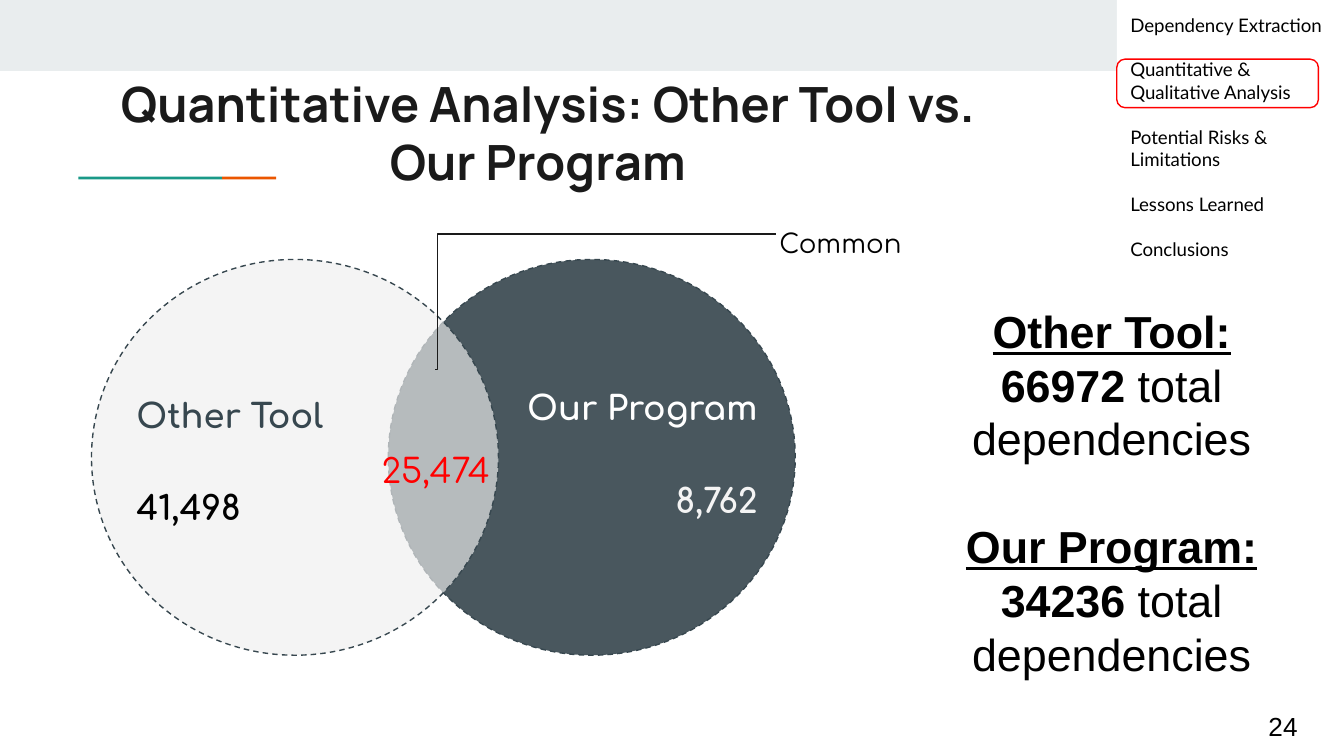
from lxml.etree import SubElement as Sub
from pptx import Presentation
from pptx.dml.color import RGBColor
from pptx.enum.dml import MSO_LINE as Dash
from pptx.enum.shapes import MSO_CONNECTOR as Link, MSO_SHAPE as Form
from pptx.enum.text import MSO_ANCHOR as Anchor, MSO_AUTO_SIZE as Auto, PP_ALIGN as Align
from pptx.oxml.ns import qn
from pptx.util import Pt


def tint(text):
    return RGBColor.from_string(text)


def place(item, box):
    item.left, item.top, item.width, item.height = map(Pt, box)


def shape(slide, form, box, fill=None, line=None, alpha=None, dash=None):
    item = slide.shapes.add_shape(form, *map(Pt, box))
    item.shadow.inherit = False
    if fill:
        item.fill.solid()
        item.fill.fore_color.rgb = tint(fill)
        if alpha:
            color = item.fill._xPr.find(qn("a:solidFill"))[0]
            Sub(color, qn("a:alpha"), val=str(alpha * 1000))
    else:
        item.fill.background()
    if line:
        item.line.color.rgb = tint(line)
        item.line.width = Pt(0.75)
        item.line.dash_style = dash
    else:
        item.line.fill.background()
    return item


def write(item, lines, font="Arial", size=18, color="000000", bold=False,
          align=Align.LEFT, anchor=Anchor.TOP, pitch=1.0, gap=0):
    frame = item.text_frame
    frame.word_wrap, frame.auto_size = True, Auto.NONE
    frame.vertical_anchor = anchor
    frame.margin_left = frame.margin_right = Pt(7.2)
    frame.margin_top = frame.margin_bottom = Pt(7.2)
    for i, line in enumerate(lines):
        para = frame.paragraphs[0] if i == 0 else frame.add_paragraph()
        para.alignment, para.line_spacing = align, pitch
        para.space_before, para.space_after = Pt(gap if i else 0), Pt(0)
        for part in [line] if isinstance(line, str) else line:
            words, look = (part, {}) if isinstance(part, str) else part
            run = para.add_run()
            run.text = words
            run.font.name, run.font.size = font, Pt(size)
            run.font.bold = look.get("bold", bold)
            run.font.underline = look.get("under", False)
            run.font.color.rgb = tint(look.get("color", color))
    return frame


def label(slide, box, lines, **look):
    item = slide.shapes.add_textbox(*map(Pt, box))
    return write(item, lines, **look)


def header(slide, box):
    x, y, w, h = box
    shape(slide, Form.RECTANGLE, (x, y, w, 38), "E9EDEE")
    shape(slide, Form.RECTANGLE, (x + 42, y + 94.6, 77, 1.6), "1A9988")
    shape(slide, Form.RECTANGLE, (x + 119, y + 94.6, 29, 1.6), "EB5600")
    title = slide.shapes.title
    place(title, (x + 57.6, y + 32.4, 642, h - 32.4))
    frame = write(title, ["Quantitative Analysis: Other Tool vs.", "Our Program"],
                  font="Manrope", size=26, color="1A1A1A", bold=True)
    props = frame.paragraphs[1]._p.get_or_add_pPr()
    props.set("marL", str(Pt(108)))
    props.set("indent", str(Pt(36)))


def venn(slide, box):
    x, y, w, h = box
    wide, high = 218, 212
    top = y + h - high
    look = dict(font="Comfortaa", bold=True, pitch=1.15, gap=24.6)
    shape(slide, Form.OVAL, (x + w - wide, top, wide, high), "37474F", "37474F", 91, Dash.DASH)
    label(slide, (x + 218, top + 58, 146, 98),
          ["Our Program", [("8,762", {"color": "F4F4F4"})]],
          color="FFFFFF", align=Align.RIGHT, **look)
    shape(slide, Form.OVAL, (x, top, wide, high), "EFEFEF", "37474F", 66, Dash.DASH)
    label(slide, (x + 17, top + 62, 166, 98),
          ["Other Tool", [("41,498", {"color": "000000"})]],
          color="37474F", **look)
    label(slide, (x + 144, top + 91.4, 81, 42.5), ["25,474"],
          font="Comfortaa", color="FF0000", align=Align.CENTER, pitch=1.15)
    ends = (x + 184.3, y + 83.5, x + 366.5, y + 10.8)
    line = slide.shapes.add_connector(Link.ELBOW, *map(Pt, ends))
    line.line.color.rgb, line.line.width = tint("1A1A1A"), Pt(0.75)
    props = line._element.spPr
    Sub(props, qn("a:effectLst"))
    bend = props.find(qn("a:prstGeom")).find(qn("a:avLst"))
    Sub(bend, qn("a:gd"), name="adj1", fmla="val 600")
    label(slide, (x + 361.4, y, 106, 27.4), ["Common"], font="Comfortaa", size=14)


def totals(slide, box):
    head, strong = {"bold": True, "under": True}, {"bold": True}
    lines = []
    for name, count in (("Other Tool:", "66972"), ("Our Program:", "34236")):
        lines += [[(name, head)], [(count, strong), " total dependencies"]]
    frame = label(slide, box, lines, size=24, align=Align.CENTER, pitch=Pt(28.8))
    frame.paragraphs[2].space_before = Pt(28.8)


def agenda(slide, box):
    x, y, w, h = box
    body = slide.placeholders[1]
    place(body, box)
    body.fill.solid()
    body.fill.fore_color.rgb = tint("FFFFFF")
    frame = write(body, ["Dependency Extraction", "Quantitative & Qualitative Analysis",
                         "Potential Risks & Limitations", "Lessons Learned", "Conclusions"],
                  font="Lato", size=10, gap=12)
    for para in frame.paragraphs:
        props = para._p.get_or_add_pPr()
        props.set("marL", "0")
        props.set("indent", "0")
        Sub(props, qn("a:buNone"))
    slide.shapes._spTree.append(body._element)
    mark = shape(slide, Form.ROUNDED_RECTANGLE, (x, y + 31.7, 108, 26), line="FF0000")
    mark.adjustments[0] = 0.17


def main():
    deck = Presentation()
    deck.slide_width, deck.slide_height = Pt(720), Pt(405)
    slide = deck.slides.add_slide(deck.slide_layouts[1])
    header(slide, (0, 0, 720, 75))
    venn(slide, (49, 114.5, 377, 236.5))
    label(slide, (672.5, 373.7, 43.2, 31), ["24"], size=14, anchor=Anchor.MIDDLE)
    totals(slide, (471, 155.5, 249, 216))
    agenda(slide, (598.3, 0, 121.7, 148.3))
    deck.save("out.pptx")


if __name__ == "__main__":
    main()
